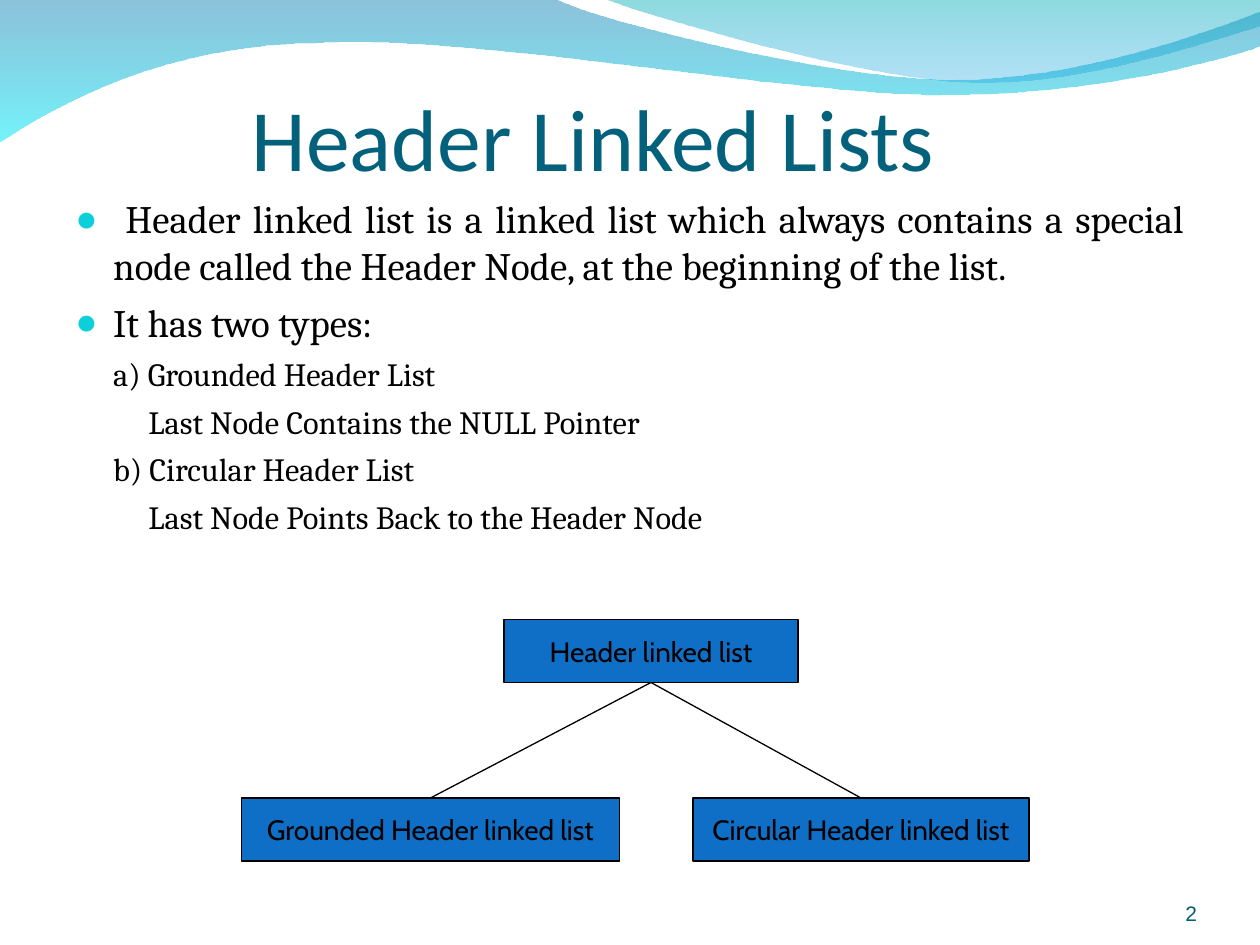
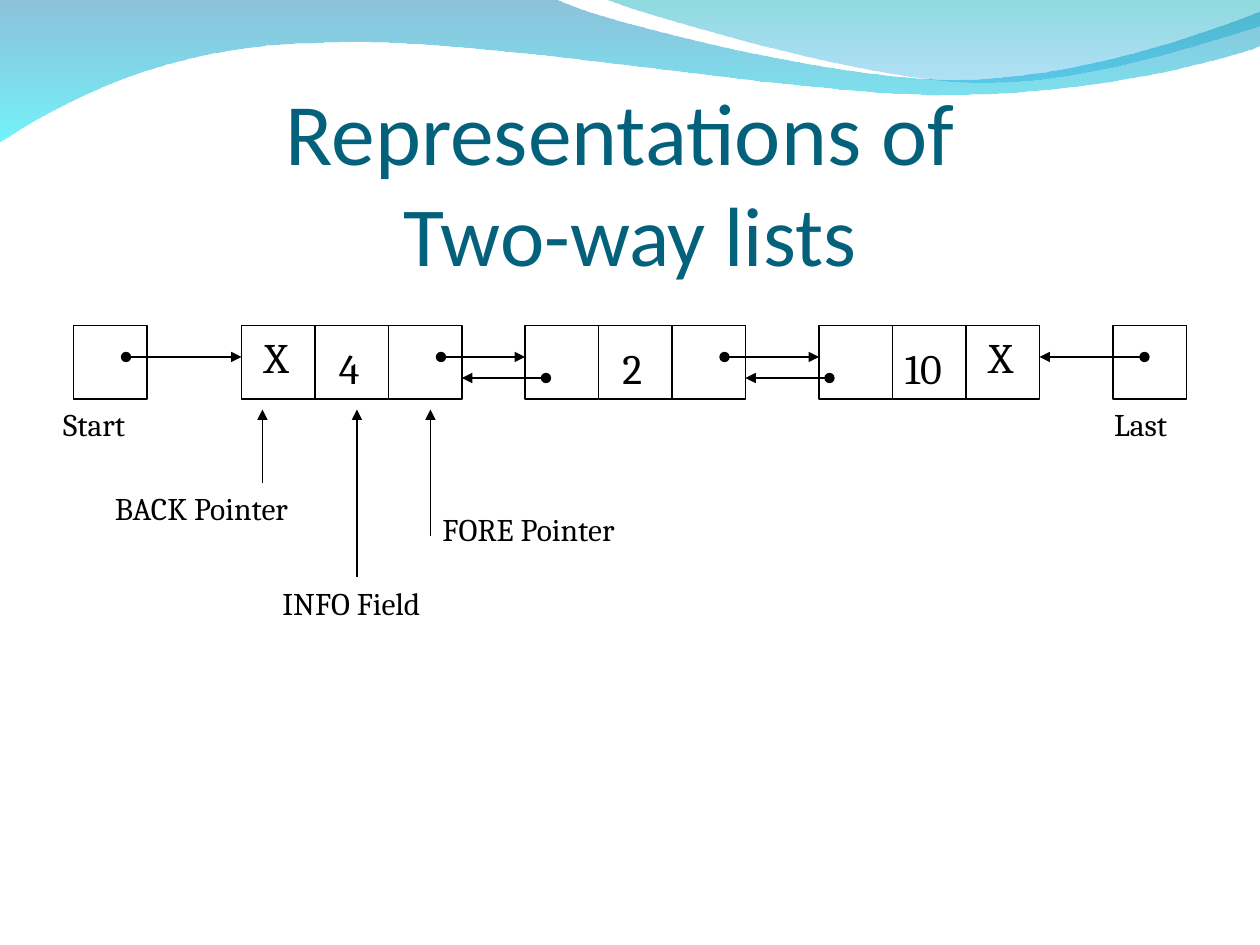
from lxml.etree import SubElement
from pptx import Presentation
from pptx.dml.color import RGBColor
from pptx.enum.shapes import MSO_CONNECTOR, MSO_SHAPE
from pptx.enum.text import MSO_ANCHOR, PP_ALIGN
from pptx.oxml.ns import qn
from pptx.util import Inches, Pt

COLORS = {
    "title": "04617B", "number": "045C75", "bullet": "0BD0D9",
    "node": "0F6FC6", "ink": "000000",
    "deep": "0079AF", "aqua": "00EBF8", "teal": "00ADB6", "sky": "009BE5",
}
UNIT = 1 / 12
SIDE = 7
FORE, BACK = 3, 5
INSETS = (0.1, 0.05, 0.1, 0.05)

LOWER = [
    [(0, -0.01)], [(4.4, -0.01)],
    [(4.76, 0.17), (6.64, 0.63), (7.58, 0.63)],
    [(8.53, 0.63), (9.58, 0.26), (10, 0.09)],
    [(10.01, 0.36)],
    [(9.83, 0.44), (8.7, 0.76), (7.46, 0.75)],
    [(6.22, 0.75), (3.82, 0.28), (2.57, 0.34)],
    [(1.29, 0.35), (0.46, 0.83), (-0.01, 1.13)],
]
UPPER = [
    [(4.79, -0.01)],
    [(5.09, 0.11), (6.82, 0.62), (7.69, 0.65)],
    [(8.56, 0.69), (9.61, 0.32), (10, 0.21)],
    [(10, 0)],
]


def color(name):
    return RGBColor.from_string(COLORS[name])


def bend(wave, steps):
    lines = iter(list(wave.element.iter(qn("a:lnTo"))))
    for step in steps[1:]:
        parts = [next(lines) for point in step]
        if len(parts) == 3:
            curve = SubElement(parts[0].getparent(), qn("a:cubicBezTo"))
            parts[0].addprevious(curve)
            for part in parts:
                curve.append(part[0])
                part.getparent().remove(part)


def draw_wave(slide, steps, stops):
    points = [tuple(map(Inches, point)) for step in steps for point in step]
    outline = slide.shapes.build_freeform(*points[0])
    outline.add_line_segments(points[1:], close=True)
    wave = outline.convert_to_shape()
    bend(wave, steps)
    wave.shadow.inherit = False
    wave.line.fill.background()
    wave.fill.gradient()
    wave.fill.gradient_angle = 270
    for stop, (name, alpha) in zip(wave.fill.gradient_stops, stops):
        stop.color.rgb = color(name)
    tints = wave.element.spPr.iter(qn("a:srgbClr"))
    for tint, (name, alpha) in zip(list(tints), stops):
        SubElement(tint, qn("a:alpha")).set("val", str(alpha * 1000))


def add_page(deck):
    slide = deck.slides.add_slide(deck.slide_layouts[6])
    draw_wave(slide, LOWER, [("deep", 45), ("aqua", 55)])
    draw_wave(slide, UPPER, [("teal", 45), ("sky", 30)])
    return slide


def set_frame(shape, anchor, insets=INSETS, wrap=True):
    frame = shape.text_frame
    frame.word_wrap = wrap
    frame.vertical_anchor = anchor
    (frame.margin_left, frame.margin_top,
     frame.margin_right, frame.margin_bottom) = map(Inches, insets)
    return frame


def add_run(para, text, size, font, name="ink"):
    run = para.add_run()
    run.text = text
    run.font.size = Pt(size)
    run.font.name = font
    run.font.color.rgb = color(name)


def add_text(slide, box, text, size, font="Cambria", name="ink",
             align=PP_ALIGN.LEFT, anchor=MSO_ANCHOR.TOP, insets=INSETS, wrap=False):
    label = slide.shapes.add_textbox(*map(Inches, box))
    para = set_frame(label, anchor, insets, wrap).paragraphs[0]
    para.alignment = align
    add_run(para, text, size, font, name)
    return para


def add_title(slide, box, *lines):
    para = add_text(slide, box, *lines[0], "Calibri", "title", PP_ALIGN.CENTER,
                    MSO_ANCHOR.BOTTOM, (0, 0.05, 0, 0), True)
    for text, size in lines[1:]:
        para.add_line_break()
        add_run(para, text, size, "Calibri", "title")


def add_box(slide, box, fill=None):
    rect = slide.shapes.add_shape(MSO_SHAPE.RECTANGLE, *map(Inches, box))
    rect.shadow.inherit = False
    if fill:
        rect.fill.solid()
        rect.fill.fore_color.rgb = color(fill)
    else:
        rect.fill.background()
    rect.line.color.rgb = color("ink")
    rect.line.width = Pt(0.75)
    return rect


def add_line(slide, start, end, head=None, tail=None):
    line = slide.shapes.add_connector(
        MSO_CONNECTOR.STRAIGHT, *map(Inches, (*start, *end)))
    line.line.color.rgb = color("ink")
    line.line.width = Pt(0.75)
    props = line.element.spPr
    for tag, kind in (("a:headEnd", head), ("a:tailEnd", tail)):
        if kind:
            SubElement(props.find(qn("a:ln")), qn(tag)).set("type", kind)
    SubElement(props, qn("a:effectLst"))
    return line


def set_bullet(props):
    tint = SubElement(SubElement(props, qn("a:buClr")), qn("a:srgbClr"))
    tint.set("val", COLORS["bullet"])
    SubElement(props, qn("a:buSzPct")).set("val", "95000")
    SubElement(props, qn("a:buFont")).set("typeface", "Arial")
    SubElement(props, qn("a:buChar")).set("char", "●")


def add_points(slide, box, points):
    body = slide.shapes.add_textbox(*map(Inches, box))
    frame = set_frame(body, MSO_ANCHOR.TOP)
    for i, (level, text) in enumerate(points):
        para = frame.add_paragraph() if i else frame.paragraphs[0]
        props = para._p.get_or_add_pPr()
        props.set("marL", str(Inches((0.3, 0.3, 0.58)[level])))
        props.set("indent", str(Inches(0 if level else -0.3)))
        para.alignment = PP_ALIGN.LEFT if level else PP_ALIGN.JUSTIFY
        para.space_before = Pt(5 if level else 6)
        if not level:
            set_bullet(props)
        add_run(para, text, 18.5 if level else 22.2, "Cambria")


def add_tree(slide, left, top):
    def add_node(x, y, width, text):
        box = [n * UNIT for n in (left + x, top + y, width, 6)]
        node = add_box(slide, box, "node")
        para = set_frame(node, MSO_ANCHOR.MIDDLE, wrap=False).paragraphs[0]
        para.alignment = PP_ALIGN.CENTER
        add_run(para, text, 16, "Cabin")
        return node

    root = add_node(25, 0, 28, "Header linked list")
    for x, width, kind in ((0, 36, "Grounded"), (43, 32, "Circular")):
        leaf = add_node(x, 17, width, f"{kind} Header linked list")
        link = add_line(slide, (0, 0), (1, 1))
        link.begin_connect(root, 2)
        link.end_connect(leaf, 0)


def add_chain(slide, left, top):
    def spot(x, y):
        return (left + x) * UNIT, (top + y) * UNIT

    def cell(x):
        add_box(slide, (*spot(x, 0), SIDE * UNIT, SIDE * UNIT))

    def link(x, end, y, head="oval", tail="triangle"):
        add_line(slide, spot(x, y), spot(end, y), head, tail)

    def mark(x, y, shift, width, text, size=18, height=0.4):
        across, down = spot(x, y)
        add_text(slide, (across + shift, down, width, height), text, size)

    nodes = [16, 43, 71]
    first, last = nodes[0], 99
    for x, text, shift, width in ((0, "Start", -0.18, 0.77),
                                  (last, "Last", -0.09, 0.69)):
        cell(x)
        mark(x, SIDE, shift, width, text)
    values = [("4", 0.09, 0.38), ("2", 0.09, 0.38), ("10", 0, 0.57)]
    for x, (value, shift, width) in zip(nodes, values):
        for i in range(3):
            cell(x + i * SIDE)
        mark(x + SIDE, 1, shift, width, value, 24, 0.5)
    final = nodes[-1] + 2 * SIDE
    for x in (first, final):
        mark(x, 0, 0.08, 0.42, "X", 24, 0.5)

    link(5, first, FORE)
    for x, after, reach in zip(nodes, nodes[1:], (2, 1)):
        link(x + 19, after, FORE)
        link(x + 3 * SIDE, after + reach, BACK, "triangle", "oval")
    link(final + SIDE, last + 3, FORE, "triangle", "oval")

    fields = [
        (18, 15, 15, 0.23, 1.81, "BACK Pointer"),
        (27, 24, 24, 1.56, 1.47, "INFO Field"),
        (34, 20, 17, 2.83, 1.79, "FORE Pointer"),
    ]
    for x, drop, level, shift, width, text in fields:
        add_line(slide, spot(x, drop), spot(x, 8), tail="triangle")
        mark(0, level, shift, width, text)


def main():
    deck = Presentation()
    deck.slide_width, deck.slide_height = Inches(10), Inches(7.5)

    slide = add_page(deck)
    add_title(slide, (0.21, 0.5, 9, 1), ("Header Linked Lists", 50))
    add_points(slide, (0.5, 1.5, 9, 3.33), [
        (0, " Header linked list is a linked list which always contains a "
            "special node called the Header Node, at the beginning of the list."),
        (0, "It has two types:"),
        (1, "a) Grounded Header List"),
        (2, "Last Node Contains the NULL Pointer"),
        (1, "b) Circular Header List"),
        (2, "Last Node Points Back to the Header Node"),
    ])
    add_text(slide, (8.67, 6.95, 0.83, 0.4), "2", 12, "Arial", "number",
             PP_ALIGN.RIGHT, MSO_ANCHOR.BOTTOM, (0, 0, 0, 0), True)
    add_tree(slide, 23, 59)

    slide = add_page(deck)
    add_title(slide, (0.5, 0.67, 9, 1.58),
              ("Representations of ", 50), ("Two-way lists", 48))
    add_chain(slide, 7, 31)

    deck.save("out.pptx")


if __name__ == "__main__":
    main()
